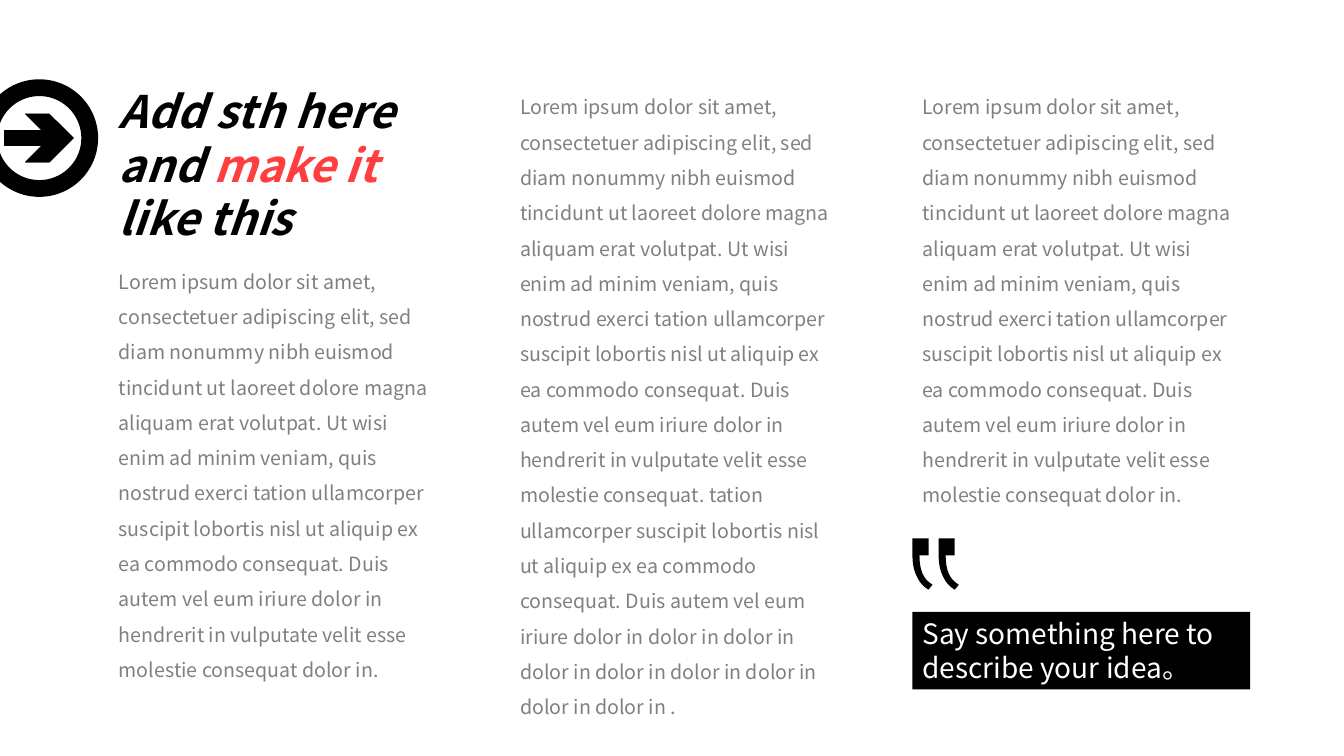
import pptx
import pptx.dml.color
import pptx.enum.shapes
import pptx.enum.text
import pptx.util

Inches = pptx.util.Inches
FONT = "Noto Sans CJK SC"
BLACK, GREY, RED, WHITE = "000000", "808080", "FF3F3F", "FFFFFF"
COLUMN_LEFTS = (1.08, 5.06, 9.05)
COLUMN_WIDTH = 3.35
TOP = 0.78


def color(value):
    return pptx.dml.color.RGBColor.from_string(value)


def add_text(left, top, height, runs, size, spacing=1.0, emphasis=False):
    box = slide.shapes.add_textbox(
        Inches(left), Inches(top), Inches(COLUMN_WIDTH), Inches(height))
    frame = box.text_frame
    frame.word_wrap = True
    frame.auto_size = pptx.enum.text.MSO_AUTO_SIZE.SHAPE_TO_FIT_TEXT
    paragraph = frame.paragraphs[0]
    paragraph.line_spacing = spacing
    for text, run_color in runs:
        run = paragraph.add_run()
        run.text = text
        run.font.name = FONT
        run.font.size = pptx.util.Pt(size)
        run.font.bold = run.font.italic = emphasis
        run.font.color.rgb = color(run_color)
    return box


presentation = pptx.Presentation()
presentation.slide_width = Inches(13.33)
presentation.slide_height = Inches(7.5)
slide = presentation.slides.add_slide(presentation.slide_layouts[6])

# Body columns
lorem = (
    "Lorem ipsum dolor sit amet, consectetuer adipiscing elit, sed diam nonummy "
    "nibh euismod tincidunt ut laoreet dolore magna aliquam erat volutpat. Ut wisi "
    "enim ad minim veniam, quis nostrud exerci tation ullamcorper suscipit lobortis "
    "nisl ut aliquip ex ea commodo consequat. Duis autem vel eum iriure dolor in "
    "hendrerit in vulputate velit esse molestie consequat")
short_text = lorem + " dolor in."
long_text = lorem + (
    ". tation ullamcorper suscipit lobortis nisl ut aliquip ex ea commodo consequat. "
    "Duis autem vel eum iriure " + "dolor in " * 9 + ".")
columns = ((2.51, 4.34, short_text), (TOP, 6.07, long_text), (TOP, 4.34, short_text))
for left, (top, height, text) in zip(COLUMN_LEFTS, columns):
    add_text(left, top, height, [(text, GREY)], 14, spacing=1.5)

# Arrow in a ring, running off the left edge
kinds = pptx.enum.shapes.MSO_SHAPE
icon = slide.shapes.add_group_shape()
for kind, left, top, width, height, filled, line_width in (
    (kinds.RECTANGLE, 0.04, 1.29, 0.48, 0.15, True, 0.25),
    (kinds.CHEVRON, 0.25, 1.13, 0.48, 0.48, True, 0.25),
    (kinds.OVAL, -0.11, 0.87, 1, 1, False, 12),
):
    shape = icon.shapes.add_shape(
        kind, Inches(left), Inches(top), Inches(width), Inches(height))
    shape.shadow.inherit = False
    if filled:
        shape.fill.solid()
        shape.fill.fore_color.rgb = color(BLACK)
    else:
        shape.fill.background()
    shape.line.color.rgb = color(BLACK)
    shape.line.width = pptx.util.Pt(line_width)

# Heading
add_text(
    COLUMN_LEFTS[0], TOP, 1.72,
    [("Add sth here and ", BLACK), ("make it ", RED), ("like this", BLACK)],
    32, emphasis=True)

# Statement bar
statement = add_text(
    COLUMN_LEFTS[2], 6.07, 0.77,
    [("Say something here to describe your idea。", WHITE)], 20)
statement.fill.solid()
statement.fill.fore_color.rgb = color(BLACK)

# Quotation marks: one outline of Bézier curves and straight edges, drawn twice
mark_curves = (
    ((0.2, 0.46), (0.11, 0.41), (0.07, 0.32), (0.07, 0.17)),
    ((0, 0.16), (0, 0.24), (0.01, 0.31), (0.04, 0.37)),
    ((0.04, 0.37), (0.07, 0.44), (0.11, 0.48), (0.16, 0.51)),
)
steps = 8
curve_points = [
    [tuple((1 - t) ** 3 * a + 3 * (1 - t) ** 2 * t * b + 3 * (1 - t) * t ** 2 * c + t ** 3 * d
           for a, b, c, d in zip(*curve))
     for t in (step / steps for step in range(steps + 1))]
    for curve in mark_curves]
outline = [(0.16, 0.51), *curve_points[0], (0.16, 0.17), (0.16, 0), (0, 0),
           *curve_points[1], *curve_points[2]]
builder = None
for mark_left in (COLUMN_LEFTS[2] + 0.26, COLUMN_LEFTS[2]):
    points = [(Inches(mark_left + x), Inches(5.34 + y)) for x, y in outline]
    if builder is None:
        builder = slide.shapes.build_freeform(*points[0])
    else:
        builder.move_to(*points[0])
    builder.add_line_segments(points[1:], close=True)
quote_marks = builder.convert_to_shape()
quote_marks.shadow.inherit = False
quote_marks.fill.solid()
quote_marks.fill.fore_color.rgb = color(BLACK)
quote_marks.line.fill.background()

presentation.save("out.pptx")
